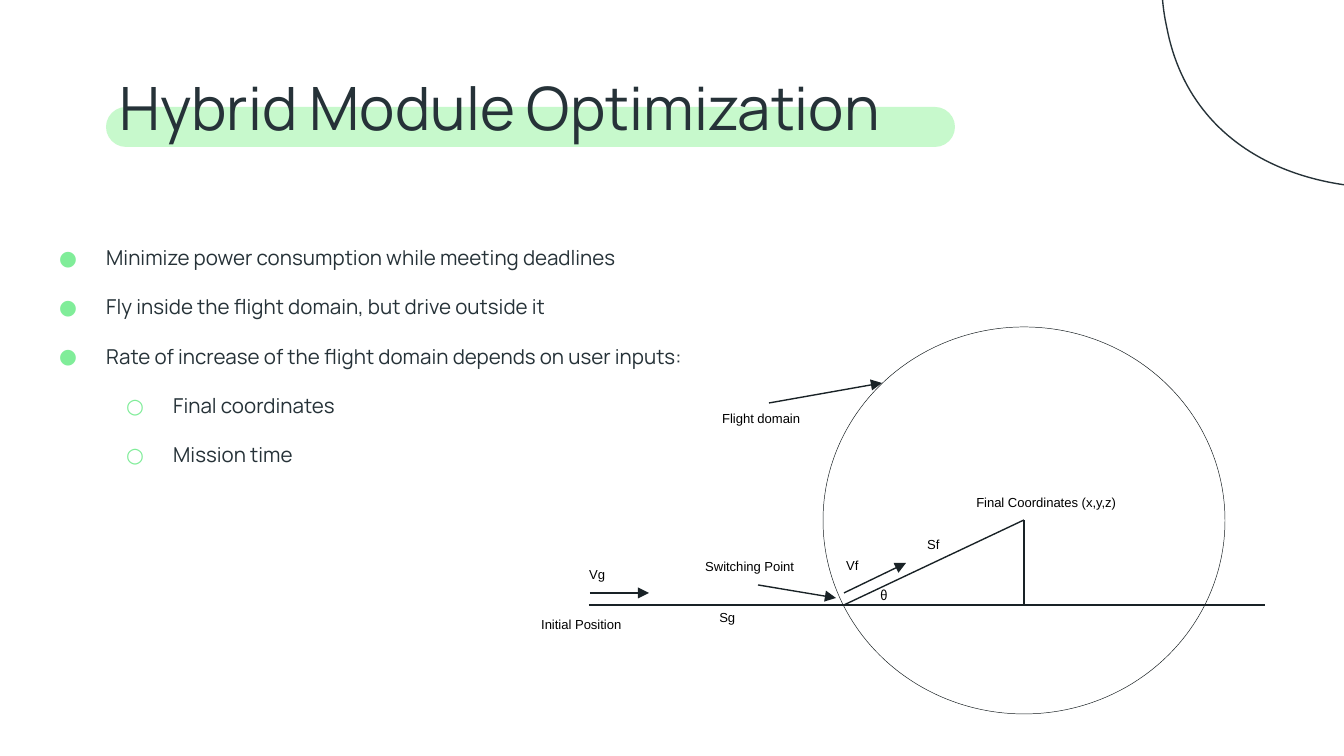
from lxml import etree
from pptx import Presentation
from pptx.dml.color import RGBColor
from pptx.enum.shapes import MSO_CONNECTOR, MSO_SHAPE
from pptx.enum.text import MSO_ANCHOR, MSO_AUTO_SIZE
from pptx.oxml.ns import qn
from pptx.util import Emu, Pt

STRAIGHT = MSO_CONNECTOR.STRAIGHT
ELLIPSE, ROUNDED = MSO_SHAPE.OVAL, MSO_SHAPE.ROUNDED_RECTANGLE
TOP = MSO_ANCHOR.TOP
GROW, FIXED = MSO_AUTO_SIZE.SHAPE_TO_FIT_TEXT, MSO_AUTO_SIZE.NONE

INK = RGBColor(0x26, 0x32, 0x38)
LINE = RGBColor(0x19, 0x22, 0x26)
CIRCLE = RGBColor(0x13, 0x1A, 0x1D)
BLACK = RGBColor(0, 0, 0)
MINT = RGBColor(0xC7, 0xF9, 0xCC)
GREEN = RGBColor(0x80, 0xED, 0x99)

SCALE = 914400 / 134.4
SLIDE_SIZE = (1344, 756)

TITLE = "Hybrid Module Optimization"
TITLE_BOX = (106, 57, 1133, 90)
HIGHLIGHT_BOX = (106, 107, 849, 40)

POINTS = [
    (0, "Minimize power consumption while meeting deadlines"),
    (0, "Fly inside the flight domain, but drive outside it"),
    (0, "Rate of increase of the flight domain depends on user inputs:"),
    (1, "Final coordinates"),
    (1, "Mission time"),
]
POINTS_BOX = (26, 207, 822, 410)
BULLETS = "●○"
INDENT, HANGING = 67, 47

BLOB_START = (1628, -249)
BLOB_CURVES = [
    ((1617, -249), (1603, -245), (1590, -238)),
    ((1538, -211), (1534, -152), (1462, -149)),
    ((1456, -148), (1449, -148), (1442, -148)),
    ((1409, -148), (1376, -152), (1347, -152)),
    ((1310, -152), (1274, -146), (1234, -125)),
    ((1167, -89), (1153, -35), (1167, 28)),
    ((1188, 137), (1282, 188), (1390, 188)),
    ((1437, 188), (1485, 179), (1531, 161)),
    ((1679, 105), (1747, -27), (1714, -157)),
    ((1704, -196), (1676, -249), (1628, -249)),
]

DOMAIN_BOX = (823, 327, 402, 387)
TARGET, FOOT, SWITCH = (1024, 520), (1024, 605), (844, 605)
SIDES = [(FOOT, TARGET), (TARGET, SWITCH), ((589, 605), (1265, 605))]
ARROWS = [
    ((769, 403), (882, 383)),
    ((590, 593), (649, 593)),
    ((844, 593), (906, 563)),
    ((758, 585), (836, 598)),
]
LABEL_HEIGHT = 34
LABELS = [
    ("Initial Position", 528, 610, 122),
    ("Final Coordinates (x,y,z)", 963, 488, 192),
    ("Flight domain", 709, 404, 120),
    ("Vg", 576, 560, 48),
    ("Vf", 833, 551, 44),
    ("θ", 867, 581, 46),
    ("Switching Point", 692, 552, 132),
    ("Sg", 706, 603, 48),
    ("Sf", 914, 530, 44),
]


def px(*lengths):
    return [Emu(round(length * SCALE)) for length in lengths]


def add_bullet(paragraph, level):
    paragraph.level = level
    properties = paragraph._p.get_or_add_pPr()
    margin, hanging = px(INDENT * (level + 1), HANGING)
    properties.set("marL", str(margin))
    properties.set("indent", str(-hanging))
    color = etree.SubElement(properties, qn("a:buClr"))
    etree.SubElement(color, qn("a:srgbClr"), val=str(GREEN))
    etree.SubElement(properties, qn("a:buFont"), typeface="Manrope")
    etree.SubElement(properties, qn("a:buChar"), char=BULLETS[level])
    paragraph.line_spacing = 2.0


def add_text(slide, box, lines, *, size, font, color, bulleted=False, label=False):
    text_box = slide.shapes.add_textbox(*px(*box))
    frame = text_box.text_frame
    frame.word_wrap = not label
    frame.auto_size = GROW if label else FIXED
    frame.vertical_anchor = TOP
    if not label:
        frame.margin_top = frame.margin_bottom = Pt(7.2)
    for index, (level, text) in enumerate(lines):
        paragraph = frame.add_paragraph() if index else frame.paragraphs[0]
        if bulleted:
            add_bullet(paragraph, level)
        run = paragraph.add_run()
        run.text = text
        run.font.size = Pt(size)
        run.font.name = font
        run.font.color.rgb = color


def outline(shape, color, width):
    shape.shadow.inherit = False
    shape.fill.background()
    shape.line.color.rgb = color
    shape.line.width = Pt(width)


def add_line(slide, start, end, arrow=False):
    line = slide.shapes.add_connector(STRAIGHT, *px(*start, *end))
    line.line.color.rgb = LINE
    line.line.width = Pt(0.75)
    if arrow:
        etree.SubElement(line.line._get_or_add_ln(), qn("a:tailEnd"), type="triangle")
    etree.SubElement(line._element.spPr, qn("a:effectLst"))


def add_blob(slide):
    builder = slide.shapes.build_freeform(*px(*BLOB_START))
    builder.add_line_segments([px(*point) for curve in BLOB_CURVES for point in curve])
    blob = builder.convert_to_shape()
    segments = list(blob._element.iter(qn("a:lnTo")))
    outline_path = segments[0].getparent()
    for first in range(0, len(BLOB_CURVES) * 3, 3):
        curve = etree.SubElement(outline_path, qn("a:cubicBezTo"))
        for segment in segments[first:first + 3]:
            curve.append(segment[0])
            outline_path.remove(segment)
    etree.SubElement(outline_path, qn("a:close"))
    outline(blob, INK, 0.75)


def main():
    deck = Presentation()
    deck.slide_width, deck.slide_height = px(*SLIDE_SIZE)
    slide = deck.slides.add_slide(deck.slide_layouts[6])

    highlight = slide.shapes.add_shape(ROUNDED, *px(*HIGHLIGHT_BOX))
    highlight.adjustments[0] = 0.5
    highlight.shadow.inherit = False
    highlight.fill.solid()
    highlight.fill.fore_color.rgb = MINT
    highlight.line.fill.background()

    add_blob(slide)
    add_text(slide, TITLE_BOX, [(0, TITLE)], size=32, font="Manrope", color=INK)
    add_text(slide, POINTS_BOX, POINTS, size=11, font="Manrope", color=INK, bulleted=True)

    outline(slide.shapes.add_shape(ELLIPSE, *px(*DOMAIN_BOX)), CIRCLE, 0.25)
    for start, end in SIDES:
        add_line(slide, start, end)
    for start, end in ARROWS:
        add_line(slide, start, end, arrow=True)
    for text, left, top, width in LABELS:
        font = "Noto Sans CJK SC" if text == "θ" else "Arial"
        add_text(slide, (left, top, width, LABEL_HEIGHT), [(0, text)],
                 size=7, font=font, color=BLACK, label=True)

    deck.save("out.pptx")


if __name__ == "__main__":
    main()
